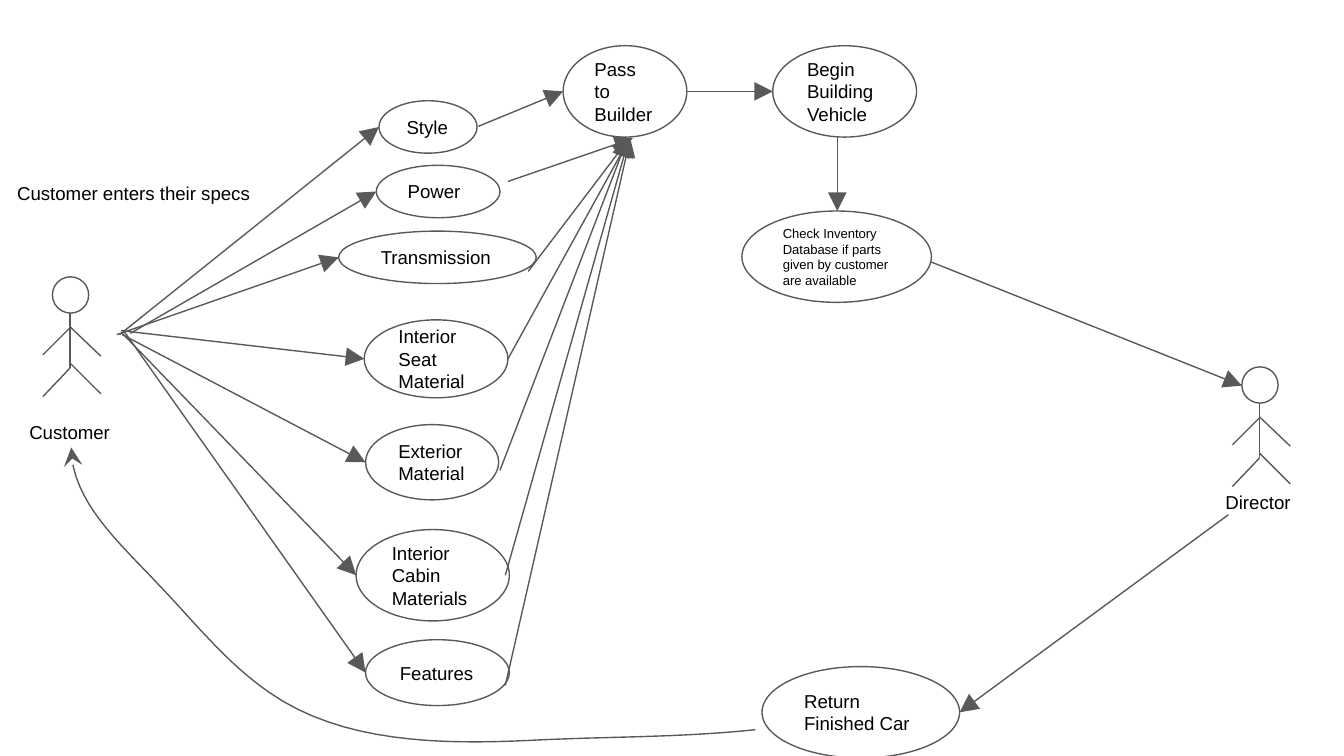
from lxml.etree import SubElement
from pptx import Presentation
from pptx.dml.color import RGBColor
from pptx.enum.shapes import MSO_CONNECTOR as Connector, MSO_SHAPE as Preset
from pptx.enum.text import MSO_ANCHOR as Anchor, PP_ALIGN as Align
from pptx.oxml.ns import qn
from pptx.util import Inches, Pt

INK, OUTLINE = "000000", "595959"


def color(hex_text):
    return RGBColor.from_string(hex_text)


def outline(part, arrowhead=None):
    part.line.color.rgb = color(OUTLINE)
    part.line.width = Pt(0.75)
    if arrowhead:
        SubElement(part.line._get_or_add_ln(), qn("a:tailEnd"),
                   type=arrowhead, w="lg", len="lg")


def write(part, words, size=10, anchor=Anchor.TOP):
    frame = part.text_frame
    frame.text = words
    frame.word_wrap = True
    frame.vertical_anchor = anchor
    frame.margin_left = frame.margin_right = Inches(0.1)
    frame.margin_top = frame.margin_bottom = Inches(0.1)
    for paragraph in frame.paragraphs:
        paragraph.alignment = Align.LEFT
        for run in paragraph.runs:
            run.font.name = "Arial"
            run.font.size = Pt(size)
            run.font.color.rgb = color(INK)


def add_label(slide, words, left, top, width):
    label = slide.shapes.add_textbox(
        Inches(left), Inches(top), Inches(width), Inches(0.34))
    write(label, words)


def add_oval(slide, left, top, width, height, words="", size=10):
    oval = slide.shapes.add_shape(
        Preset.OVAL, Inches(left), Inches(top), Inches(width), Inches(height))
    oval.shadow.inherit = False
    oval.fill.background()
    outline(oval)
    if words:
        write(oval, words, size, Anchor.MIDDLE)


def add_line(slide, start, end, arrowhead=None):
    line = slide.shapes.add_connector(
        Connector.STRAIGHT, *(Inches(value) for value in (*start, *end)))
    outline(line, arrowhead)
    SubElement(line._element.spPr, qn("a:effectLst"))


def add_actor(slide, left, top):
    add_oval(slide, left + 0.07, top, 0.27, 0.27)
    spine = left + 0.2
    limbs = [(0.27, 0, 0.68), (0.68, -0.2, 0.89), (0.64, 0.23, 0.87),
             (0.38, -0.2, 0.58), (0.37, 0.23, 0.59)]
    for joint, reach, tip in limbs:
        add_line(slide, (spine, top + joint), (spine + reach, top + tip))


def add_specs(slide, left, top):
    specs = [
        ("Style", (0.3, 0, 0.73, 0.39), (-1.63, 1.74), (1.04, 0.19), (1.67, -0.07)),
        ("Power", (0.28, 0.48, 0.92, 0.39), (-1.55, 1.73), (1.26, 0.6), (2.19, 0.28)),
        ("Transmission", (0, 0.97, 1.47, 0.39), (-1.65, 1.74), (1.41, 1.27), (2.17, 0.27)),
        ("Interior Seat\nMaterial", (0.19, 1.63, 1.07, 0.58), (-1.62, 1.71), (1.26, 1.92), (2.17, 0.27)),
        ("Exterior\nMaterial", (0.2, 2.41, 0.99, 0.56), (-1.61, 1.74), (1.2, 2.75), (2.15, 0.28)),
        ("Interior Cabin Materials", (0.13, 3.19, 1.14, 0.68), (-1.61, 1.73), (1.24, 3.53), (2.16, 0.28)),
        ("Features", (0.2, 4.01, 1.07, 0.49), (-1.6, 1.71), (1.24, 4.35), (2.17, 0.28)),
    ]

    def place(point):
        return left + point[0], top + point[1]

    for words, (x, y, width, height), source, leave, builder in specs:
        add_oval(slide, left + x, top + y, width, height, words)
        add_line(slide, place(source), place((x, y + height / 2)), "triangle")
        add_line(slide, place(leave), place(builder), "triangle")


def add_process(slide, left, top):
    steps = [
        ("Pass to Builder", 0, 0, 0.92, 10),
        ("Begin Building Vehicle", 1.56, 0, 1.07, 10),
        ("Check Inventory Database if parts given by customer are available",
         1.33, 1.23, 1.41, 7),
        ("Return Finished Car", 1.48, 4.62, 1.47, 10),
    ]
    for words, x, y, width, size in steps:
        add_oval(slide, left + x, top + y, width, 0.68, words, size)
    arrows = [(0.92, 0.34, 1.56, 0.34), (2.04, 0.68, 2.04, 1.23),
              (2.74, 1.61, 5.05, 2.53), (4.95, 3.49, 2.95, 4.96)]
    for x1, y1, x2, y2 in arrows:
        add_line(slide, (left + x1, top + y1), (left + x2, top + y2), "triangle")


def bezier(points, t):
    weights = ((1 - t) ** 3, 3 * t * (1 - t) ** 2, 3 * t ** 2 * (1 - t), t ** 3)
    return tuple(sum(w * point[axis] for w, point in zip(weights, points))
                 for axis in (0, 1))


def add_return_curve(slide, left, top):
    anchors = [(5.09, 2.1), (4.53, 2.16), (3.97, 2.15), (3.4, 2.18),
               (2.75, 2.21), (2.01, 2.2), (1.47, 1.82),
               (1.15, 1.6), (0.91, 1.29), (0.64, 1.01),
               (0.37, 0.72), (0, 0.4), (0, 0)]
    steps = 16
    route = [bezier(anchors[first:first + 4], step / steps)
             for first in (0, 3, 6, 9) for step in range(1, steps + 1)]
    corners = [(Inches(left + x), Inches(top + y)) for x, y in [anchors[0], *route]]
    builder = slide.shapes.build_freeform(*corners[0])
    builder.add_line_segments(corners[1:], close=False)
    curve = builder.convert_to_shape()
    curve.shadow.inherit = False
    curve.fill.background()
    outline(curve, "stealth")


deck = Presentation()
deck.slide_width = Inches(10)
deck.slide_height = deck.slide_width * 9 // 16
slide = deck.slides.add_slide(deck.slide_layouts[6])
add_specs(slide, 2.52, 0.75)
add_process(slide, 4.19, 0.34)
add_actor(slide, 0.32, 2.06)
add_actor(slide, 9.17, 2.73)
add_label(slide, "Customer", 0.12, 3.05, 0.83)
add_label(slide, "Director", 9.02, 3.57, 0.73)
add_label(slide, "Customer enters their specs", 0.03, 1.27, 2)
add_return_curve(slide, 0.53, 3.33)
deck.save("out.pptx")
